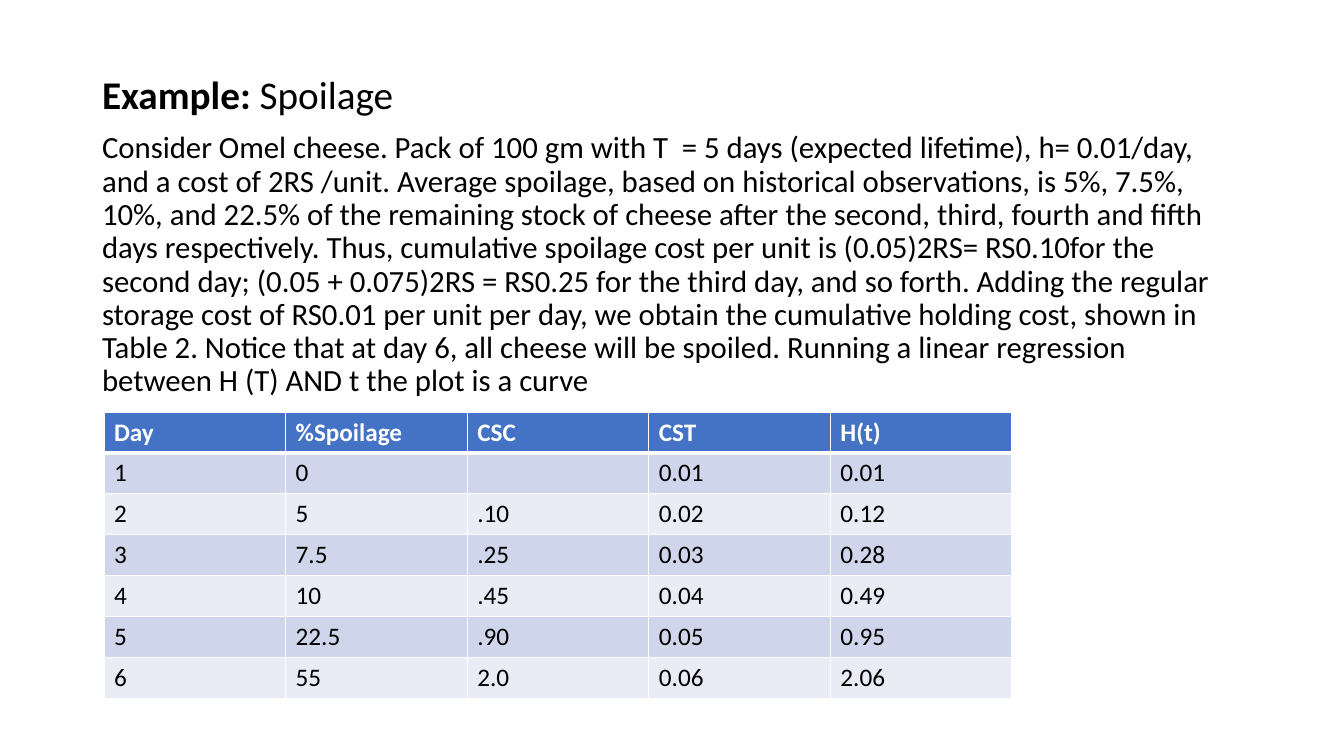
from lxml import etree
from pptx import Presentation
from pptx.dml.color import RGBColor
from pptx.enum.text import MSO_ANCHOR, MSO_AUTO_SIZE, PP_ALIGN
from pptx.oxml.ns import qn
from pptx.util import Pt

SCALE = 914400 / 100.8
FONT = "Calibri"
LEFT = PP_ALIGN.LEFT
TOP = MSO_ANCHOR.TOP
FIXED = MSO_AUTO_SIZE.NONE
HUES = {"ink": "000000", "white": "FFFFFF", "head": "4472C4",
        "odd": "CFD5EA", "even": "E9EBF5"}
STORY = (
    "Consider Omel cheese. Pack of 100 gm with T  = 5 days (expected lifetime), "
    "h= 0.01/day, and a cost of 2RS /unit. Average spoilage, based on historical "
    "observations, is 5%, 7.5%, 10%, and 22.5% of the remaining stock of cheese "
    "after the second, third, fourth and fifth days respectively. Thus, cumulative "
    "spoilage cost per unit is (0.05)2RS= RS0.10for the second day; "
    "(0.05 + 0.075)2RS = RS0.25 for the third day, and so forth. Adding the regular "
    "storage cost of RS0.01 per unit per day, we obtain the cumulative holding cost, "
    "shown in Table 2. Notice that at day 6, all cheese will be spoiled. Running a "
    "linear regression between H (T) AND t the plot is a curve")
PARAS = [[("Example: ", 28, True), ("Spoilage", 28, False)], [(STORY, 22, False)]]
ROWS = [
    ("Day", "%Spoilage", "CSC", "CST", "H(t)"),
    ("1", "0", "", "0.01", "0.01"),
    ("2", "5", ".10", "0.02", "0.12"),
    ("3", "7.5", ".25", "0.03", "0.28"),
    ("4", "10", ".45", "0.04", "0.49"),
    ("5", "22.5", ".90", "0.05", "0.95"),
    ("6", "55", "2.0", "0.06", "2.06"),
]


def px(count):
    """Turn pixels into EMU."""
    return round(count * SCALE)


def add_run(para, text, size, bold, hue):
    """Add one formatted run to a paragraph."""
    run = para.add_run()
    run.text = text
    run.font.name = FONT
    run.font.size = Pt(size)
    run.font.bold = bold
    run.font.color.rgb = RGBColor.from_string(HUES[hue])


def fill_body(body, left, top, width, height):
    """Place the body and write its unbulleted paragraphs."""
    body.left, body.top = px(left), px(top)
    body.width, body.height = px(width), px(height)
    frame = body.text_frame
    frame.word_wrap = True
    frame.auto_size = FIXED
    frame.vertical_anchor = TOP
    for index, runs in enumerate(PARAS):
        para = frame.add_paragraph() if index else frame.paragraphs[0]
        props = para._p.get_or_add_pPr()
        props.set("marL", "0")
        props.set("indent", "0")
        etree.SubElement(props, qn("a:buNone"))
        para.alignment = LEFT
        para.line_spacing = 0.9
        para.space_before = Pt(10 if index else 0)
        for text, size, bold in runs:
            add_run(para, text, size, bold, "ink")


def add_edge(props, side, width):
    """Draw one white cell border."""
    line = etree.SubElement(props, qn("a:" + side), w=str(Pt(width)))
    fill = etree.SubElement(line, qn("a:solidFill"))
    etree.SubElement(fill, qn("a:srgbClr"), val=HUES["white"])


def fill_cell(cell, text, row):
    """Write, border and colour one cell by its row number."""
    props = cell._tc.get_or_add_tcPr()
    for side in ("lnL", "lnR", "lnT", "lnB"):
        thick = (row, side) in ((0, "lnB"), (1, "lnT"))
        add_edge(props, side, 3 if thick else 1)
    back = "head" if row == 0 else "odd" if row % 2 else "even"
    cell.fill.solid()
    cell.fill.fore_color.rgb = RGBColor.from_string(HUES[back])
    if text:
        add_run(cell.text_frame.paragraphs[0], text, 18, row == 0,
                "ink" if row else "white")


def add_grid(slide, left, top, width, height):
    """Add the spoilage table in equal rows and columns."""
    table = slide.shapes.add_table(len(ROWS), len(ROWS[0]), px(left), px(top),
                                   px(width), px(height)).table
    for row, texts in enumerate(ROWS):
        for col, text in enumerate(texts):
            fill_cell(table.cell(row, col), text, row)


def main():
    """Build and save the slide."""
    deck = Presentation()
    deck.slide_width, deck.slide_height = px(1344), px(756)
    slide = deck.slides.add_slide(deck.slide_layouts[1])
    title = slide.shapes.title.element
    title.getparent().remove(title)
    fill_body(slide.placeholders[1], 92, 71, 1159, 591)
    add_grid(slide, 104, 412, 908, 282)
    deck.save("out.pptx")


if __name__ == "__main__":
    main()
